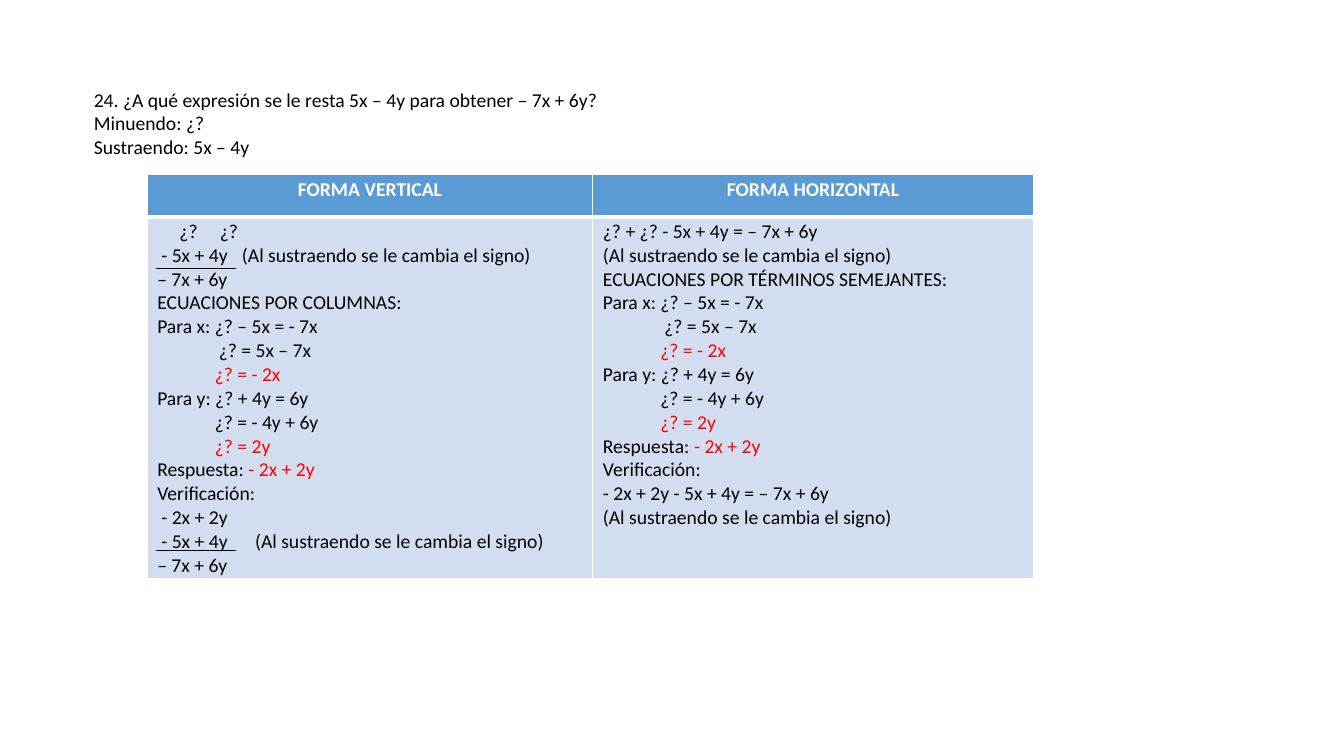
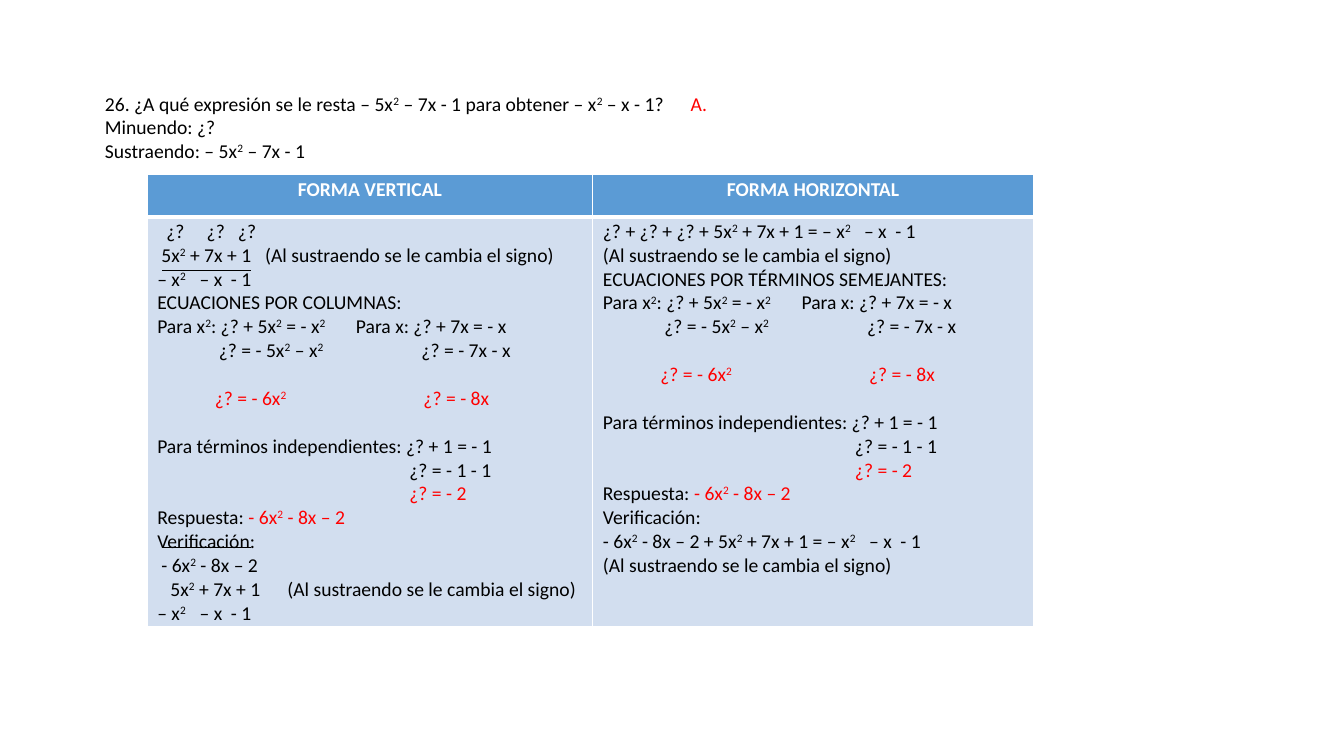
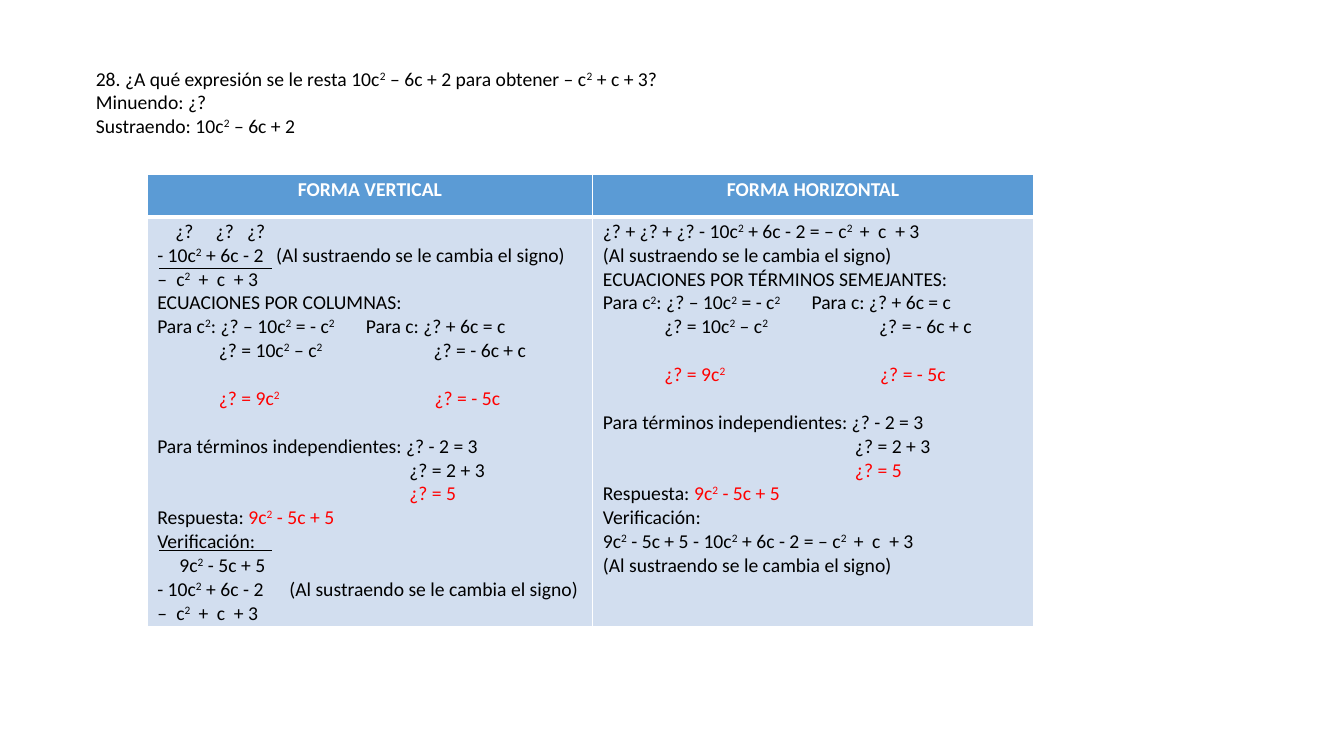
import pptx
import pptx.dml.color
import pptx.enum.shapes
import pptx.enum.text
import pptx.oxml
import pptx.oxml.ns
import pptx.util
from lxml import etree

Inches = pptx.util.Inches
Pt = pptx.util.Pt
qn = pptx.oxml.ns.qn

COLORS = {"text": "000000", "answer": "FF0000", "header": "5B9BD5",
          "body": "D2DEEF", "white": "FFFFFF"}
FONT = "Calibri"
SIZE = Pt(14)
LINE_HEIGHT = Pt(17.1)
CELL_TOP = Inches(0.03)
TABLE_LEFT, TABLE_TOP = Inches(1.46), Inches(1.73)
COLUMN_WIDTHS = [Inches(4.42), Inches(4.37)]
HEADER_HEIGHT = Inches(0.42)
HEADERS = ["FORMA VERTICAL", "FORMA HORIZONTAL"]
BORDERS = {"a:lnL": 1, "a:lnR": 1, "a:lnT": 1, "a:lnB": 1}

SIGN_NOTE = "(Al sustraendo se le cambia el signo)"
COLUMN_EQUATIONS = ("ECUACIONES POR COLUMNAS:",)
TERM_EQUATIONS = ("ECUACIONES POR TÉRMINOS SEMEJANTES:",)
CHECK = ("Verificación:",)

# A line is its text and then its tab stops in inches.
# ~ switches the answer colour on and off, ² is a raised 2,
# and a leading line feed leaves one line of space above.
EXERCISES = [
    {
        "place": (0.83, 0.82, 8.47),
        "question": [("24. ¿A qué expresión se le resta 5x – 4y para obtener – 7x + 6y?",),
                     ("Minuendo: ¿?",),
                     ("Sustraendo: 5x – 4y",)],
        "vertical": [("\t¿?\t¿?", 0.22, 0.62),
                     (f"\t- 5x + 4y\t{SIGN_NOTE}", 0.04, 0.84),
                     ("– 7x + 6y",)],
        "horizontal": [("¿? + ¿? - 5x + 4y = – 7x + 6y",)],
        "solution": [("Para x: ¿? – 5x = - 7x",),
                     ("\t¿? = 5x – 7x", 0.61),
                     ("\t~¿? = - 2x", 0.57),
                     ("Para y: ¿? + 4y = 6y",),
                     ("\t¿? = - 4y + 6y", 0.57),
                     ("\t~¿? = 2y", 0.57),
                     ("Respuesta: ~- 2x + 2y",)],
        "vertical check": [("\t- 2x + 2y", 0.04),
                           (f"\t- 5x + 4y\t{SIGN_NOTE}", 0.04, 0.97),
                           ("– 7x + 6y",)],
        "horizontal check": [("- 2x + 2y - 5x + 4y = – 7x + 6y",)],
        "body lines": 15,
        "sum lines": (1.55, 2.34, [2.66, 5.46]),
    },
    {
        "place": (0.94, 0.86, 8.12),
        "question": [("26. ¿A qué expresión se le resta – 5x² – 7x - 1 para obtener – x² – x - 1?\t~A.", 5.81),
                     ("Minuendo: ¿?",),
                     ("Sustraendo: – 5x² – 7x - 1",)],
        "vertical": [("\t¿?\t¿?\t¿?", 0.09, 0.49, 0.8),
                     (f"\t5x² + 7x + 1\t{SIGN_NOTE}", 0.04, 1.07),
                     ("– x²\t– x\t- 1", 0.42, 0.73)],
        "horizontal": [("¿? + ¿? + ¿? + 5x² + 7x + 1 = – x²\t– x\t- 1", 2.59, 2.9)],
        "solution": [("Para x²: ¿? + 5x² = - x²\tPara x: ¿? + 7x = - x", 1.97),
                     ("\t¿? = - 5x² – x²\t¿? = - 7x - x", 0.61, 2.62),
                     ("\n\t~¿? = - 6x²\t¿? = - 8x", 0.57, 2.64),
                     ("\nPara términos independientes: ¿? + 1 = - 1",),
                     ("\t¿? = - 1 - 1", 2.5),
                     ("\t~¿? = - 2", 2.5),
                     ("Respuesta: ~- 6x² - 8x – 2",)],
        "vertical check": [("\t- 6x² - 8x – 2", 0.04),
                           (f"\t5x² + 7x + 1\t{SIGN_NOTE}", 0.13, 1.29),
                           ("– x²\t– x\t- 1", 0.42, 0.73)],
        "horizontal check": [("- 6x² - 8x – 2 + 5x² + 7x + 1 = – x²\t– x\t- 1", 2.64, 2.95)],
        "body lines": 17,
        "sum lines": (1.61, 2.49, [2.68, 5.43]),
    },
    {
        "place": (0.85, 0.61, 10.16),
        "question": [("28. ¿A qué expresión se le resta 10c² – 6c + 2 para obtener – c² + c + 3?",),
                     ("Minuendo: ¿?",),
                     ("Sustraendo: 10c² – 6c + 2",)],
        "vertical": [("\t¿?\t¿?\t¿?", 0.18, 0.58, 0.89),
                     (f"- 10c² + 6c - 2\t{SIGN_NOTE}", 1.18),
                     ("–\tc²\t+\tc\t+ 3", 0.19, 0.41, 0.59, 0.76)],
        "horizontal": [("¿? + ¿? + ¿? - 10c² + 6c - 2 = – c²\t+\tc\t+ 3", 2.55, 2.73, 2.9)],
        "solution": [("Para c²: ¿? – 10c² = - c²\tPara c: ¿? + 6c = c", 2.07),
                     ("\t¿? = 10c² – c²\t¿? = - 6c + c", 0.61, 2.74),
                     ("\n\t~¿? = 9c²\t¿? = - 5c", 0.61, 2.75),
                     ("\nPara términos independientes: ¿? - 2 = 3",),
                     ("\t¿? = 2 + 3", 2.5),
                     ("\t~¿? = 5", 2.5),
                     ("Respuesta: ~9c² - 5c + 5",)],
        "vertical check": [("\t9c² - 5c + 5", 0.22),
                           (f"- 10c² + 6c - 2\t{SIGN_NOTE}", 1.31),
                           ("–\tc²\t+\tc\t+ 3", 0.19, 0.41, 0.59, 0.76)],
        "horizontal check": [("9c² - 5c + 5 - 10c² + 6c - 2 = – c²\t+\tc\t+ 3", 2.49, 2.67, 2.84)],
        "body lines": 17,
        "sum lines": (1.58, 2.7, [2.66, 5.46]),
    },
]


def add_run(paragraph, text, color, bold=False, raised=False):
    run = paragraph.add_run()
    run.text = text
    run.font.name = FONT
    run.font.size = SIZE
    run.font.bold = bold
    run.font.color.rgb = pptx.dml.color.RGBColor.from_string(COLORS[color])
    if raised:
        run.font._element.set("baseline", "30000")


def write_lines(frame, lines):
    """Fill a text frame, one paragraph for each line of text and tab stops."""
    for number, (text, *stops) in enumerate(lines):
        paragraph = frame.add_paragraph() if number else frame.paragraphs[0]
        paragraph.alignment = pptx.enum.text.PP_ALIGN.LEFT
        if text.startswith("\n"):
            paragraph.space_before = LINE_HEIGHT
        if stops:
            tabs = etree.SubElement(paragraph._p.get_or_add_pPr(), qn("a:tabLst"))
            for stop in stops:
                etree.SubElement(tabs, qn("a:tab"), pos=str(Inches(stop)), algn="l")
        for part, colored in enumerate(text.lstrip("\n").split("~")):
            color = "answer" if part % 2 else "text"
            for power, piece in enumerate(colored.split("²")):
                if power:
                    add_run(paragraph, "2", color, raised=True)
                if piece:
                    add_run(paragraph, piece, color)


prs = pptx.Presentation()
prs.slide_width, prs.slide_height = Inches(13.33), Inches(7.5)
title_only = prs.slide_layouts[5]

for exercise in EXERCISES:
    slide = prs.slides.add_slide(title_only)

    question = slide.shapes.title
    left, top, width = exercise["place"]
    question.left, question.top = Inches(left), Inches(top)
    question.width, question.height = Inches(width), Inches(0.81)
    question.text_frame.auto_size = pptx.enum.text.MSO_AUTO_SIZE.NONE
    question.text_frame.vertical_anchor = pptx.enum.text.MSO_ANCHOR.TOP
    question.text_frame.word_wrap = True
    write_lines(question.text_frame, exercise["question"])

    body_height = CELL_TOP + exercise["body lines"] * LINE_HEIGHT
    table = slide.shapes.add_table(2, 2, TABLE_LEFT, TABLE_TOP, sum(COLUMN_WIDTHS),
                                   HEADER_HEIGHT + body_height).table
    table.horz_banding = False
    table.rows[0].height, table.rows[1].height = HEADER_HEIGHT, body_height
    for column, width in zip(table.columns, COLUMN_WIDTHS):
        column.width = width

    for row, fill in enumerate(["header", "body"]):
        for cell in table.rows[row].cells:
            cell.margin_top, cell.margin_bottom = CELL_TOP, 0
            for side, weight in BORDERS.items():
                under_header = (row, side) in [(0, "a:lnB"), (1, "a:lnT")]
                border = etree.SubElement(cell._tc.get_or_add_tcPr(), qn(side),
                                          w=str(Pt(3 if under_header else weight)))
                border_fill = etree.SubElement(border, qn("a:solidFill"))
                etree.SubElement(border_fill, qn("a:srgbClr"), val=COLORS["white"])
            cell.fill.solid()
            cell.fill.fore_color.rgb = pptx.dml.color.RGBColor.from_string(COLORS[fill])

    for column, header in enumerate(HEADERS):
        paragraph = table.cell(0, column).text_frame.paragraphs[0]
        paragraph.alignment = pptx.enum.text.PP_ALIGN.CENTER
        add_run(paragraph, header, "white", bold=True)

    write_lines(table.cell(1, 0).text_frame,
                [*exercise["vertical"], COLUMN_EQUATIONS, *exercise["solution"],
                 CHECK, *exercise["vertical check"]])
    write_lines(table.cell(1, 1).text_frame,
                [*exercise["horizontal"], (SIGN_NOTE,), TERM_EQUATIONS,
                 *exercise["solution"], CHECK, *exercise["horizontal check"],
                 (SIGN_NOTE,)])

    start, end, heights = exercise["sum lines"]
    for height in heights:
        sum_line = slide.shapes.add_connector(
            pptx.enum.shapes.MSO_CONNECTOR.STRAIGHT,
            Inches(start), Inches(height), Inches(end), Inches(height))
        sum_line.line.color.rgb = pptx.dml.color.RGBColor.from_string(COLORS["text"])
        sum_line.line.width = Pt(0.5)
        etree.SubElement(sum_line._element.spPr, qn("a:effectLst"))

prs.save("out.pptx")
